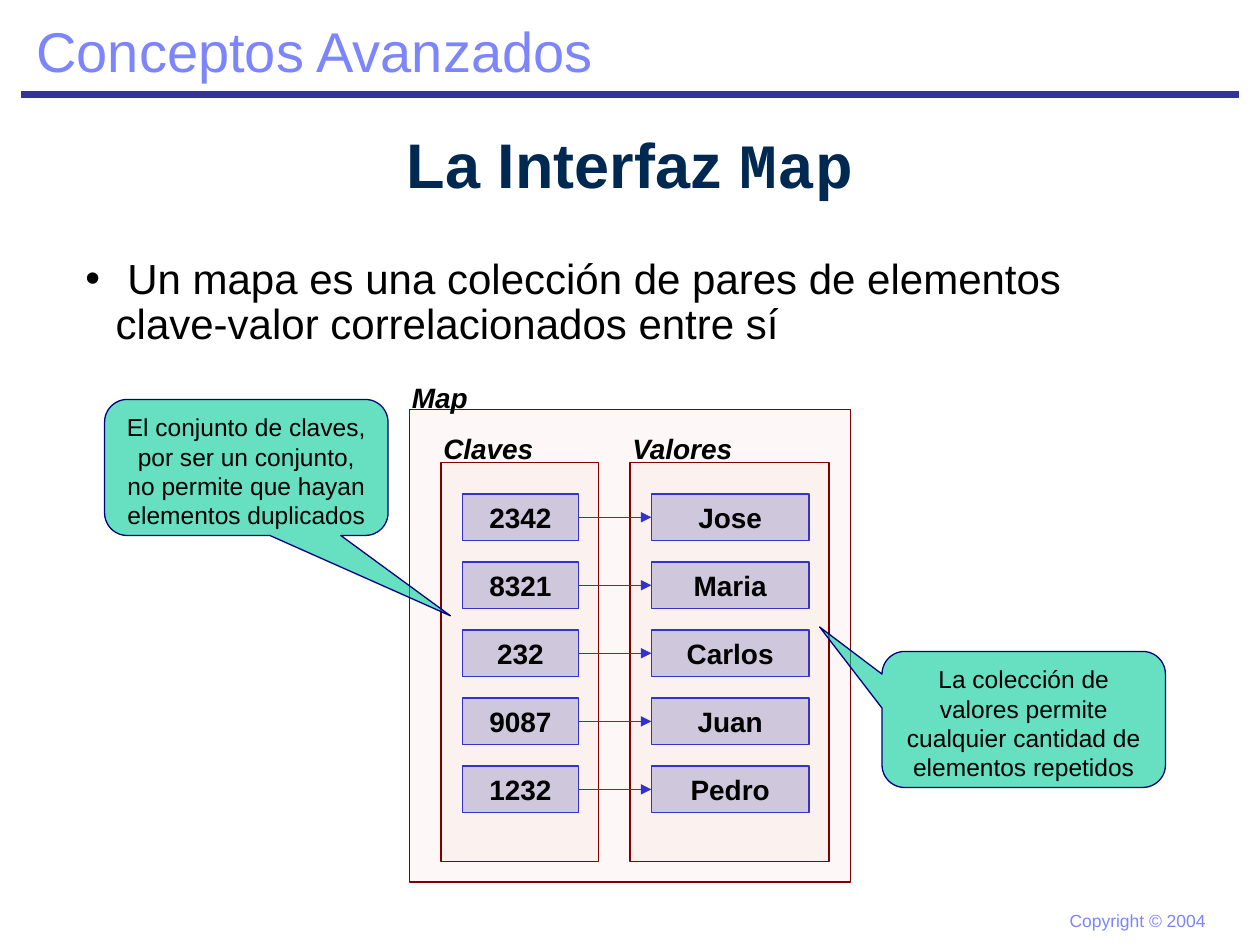
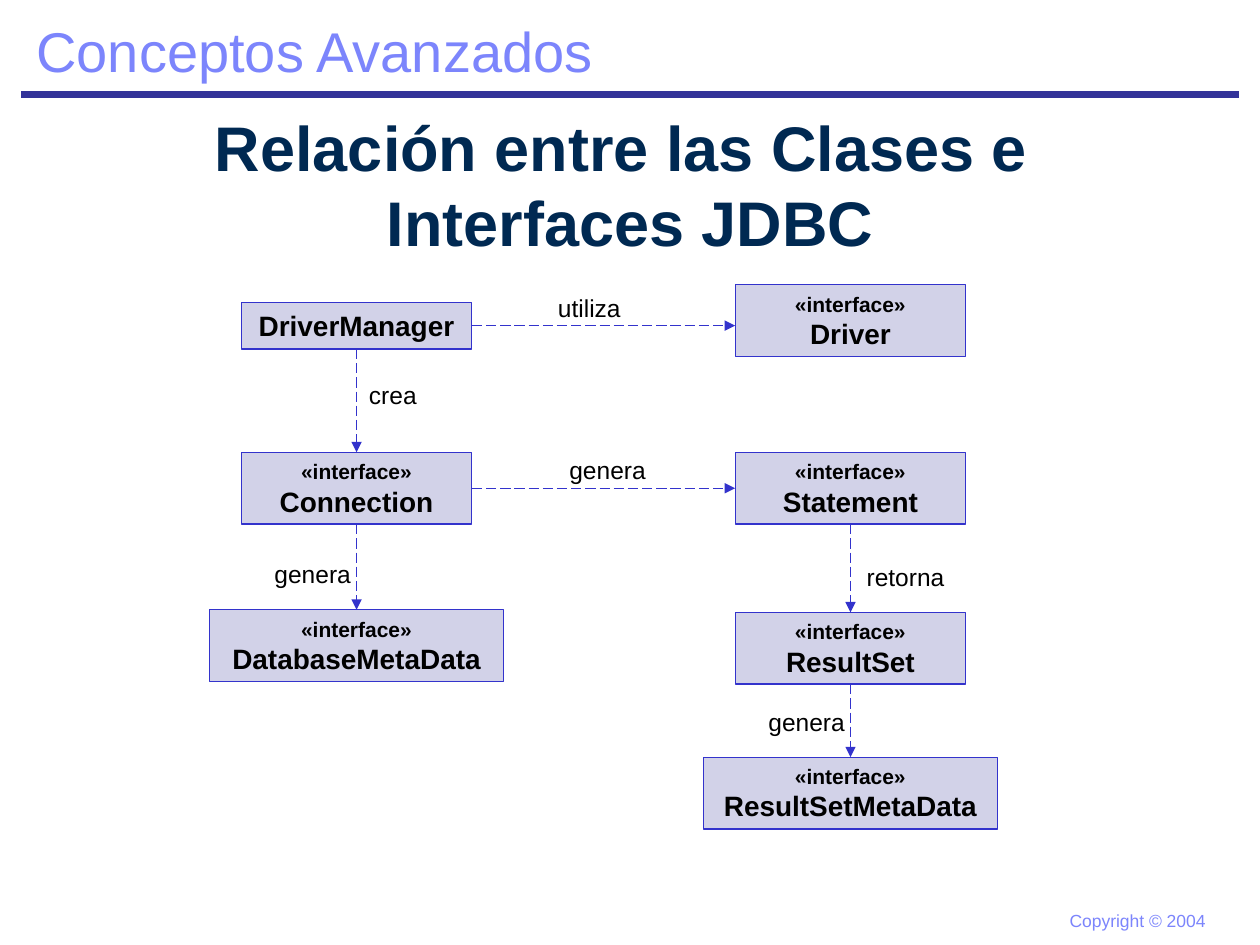
from lxml import etree
from pptx import Presentation
from pptx.dml.color import RGBColor
from pptx.enum.dml import MSO_LINE
from pptx.enum.shapes import MSO_CONNECTOR, MSO_SHAPE
from pptx.enum.text import MSO_ANCHOR, MSO_AUTO_SIZE, PP_ALIGN
from pptx.oxml.ns import qn
from pptx.util import Inches, Pt

STRAIGHT = MSO_CONNECTOR.STRAIGHT
RECT = MSO_SHAPE.RECTANGLE
CALLOUT = MSO_SHAPE.ROUNDED_RECTANGULAR_CALLOUT
LONG_DASH = MSO_LINE.LONG_DASH
TOP, MIDDLE = MSO_ANCHOR.TOP, MSO_ANCHOR.MIDDLE
GROW = MSO_AUTO_SIZE.SHAPE_TO_FIT_TEXT
LEFT, CENTER = PP_ALIGN.LEFT, PP_ALIGN.CENTER
SITE_TOP, SITE_LEFT, SITE_BOTTOM, SITE_RIGHT = range(4)

COLORS = {
    "band": "333399", "header": "7C85FC", "title": "002952", "text": "000000",
    "frame": "CC3300", "frame_line": "800000", "box": "333399", "box_line": "3333CC",
    "callout": "00CC99", "callout_line": "000080",
}
RGB = {name: RGBColor.from_string(value) for name, value in COLORS.items()}
ALPHA = {"frame": 3, "box": 22, "callout": 60}


def add_box(s, at, paragraphs=(), shape=None, look=None, color="text",
            bold=False, italic=False, align=LEFT, anchor=TOP, wrap=True):
    at = [Inches(v) for v in at]
    if shape is None:
        sp = s.shapes.add_textbox(*at)
    else:
        sp = s.shapes.add_shape(shape, *at)
        sp.shadow.inherit = False
        sp.fill.solid()
        sp.fill.fore_color.rgb = RGB[look]
        clr = sp._element.spPr.find(qn("a:solidFill")).find(qn("a:srgbClr"))
        etree.SubElement(clr, qn("a:alpha"), val=str(ALPHA[look] * 1000))
        sp.line.color.rgb = RGB[look + "_line"]
        sp.line.width = Pt(0.75)
    tf = sp.text_frame
    tf.word_wrap = wrap
    if not wrap:
        tf.auto_size = GROW
    tf.vertical_anchor = anchor
    for i, runs in enumerate(paragraphs):
        p = tf.add_paragraph() if i else tf.paragraphs[0]
        p.alignment = align
        for text, size, *font in runs:
            r = p.add_run()
            r.text = text
            r.font.name = font[0] if font else "Arial"
            r.font.size = Pt(size)
            r.font.bold = bold
            r.font.italic = italic
            r.font.color.rgb = RGB[color]
    return sp


def add_arrow(s, start, start_site, end, end_site, dashed=False, join_end=True):
    c = s.shapes.add_connector(STRAIGHT, 0, 0, end.left, start.top + start.height // 2)
    c.begin_connect(start, start_site)
    if join_end:
        c.end_connect(end, end_site)
    c.line.color.rgb = RGB["box_line"]
    c.line.width = Pt(0.75)
    if dashed:
        c.line.dash_style = LONG_DASH
    etree.SubElement(c.line._get_or_add_ln(), qn("a:tailEnd"), type="triangle")
    etree.SubElement(c._element.spPr, qn("a:effectLst"))


prs = Presentation()
prs.slide_width = Inches(10)
prs.slide_height = Inches(7.5)

titles = [
    ((0, 0.92, 10, 0.75), [[("La Interfaz ", 36), ("Map", 36, "Courier New")]]),
    ((0, 1, 10, 0.92), [[("Relación entre las Clases e ", 36)], [("Interfaces JDBC", 36)]]),
]
slides = []
for at, title in titles:
    s = prs.slides.add_slide(prs.slide_layouts[6])
    band = s.shapes.add_connector(STRAIGHT, Inches(0.17), Inches(0.75), Inches(9.83), Inches(0.75))
    band.line.color.rgb = RGB["band"]
    band.line.width = Pt(4.5)
    etree.SubElement(band._element.spPr, qn("a:effectLst"))
    add_box(s, (8.39, 7.17, 1.28, 0.27), [[("Copyright © 2004", 10)]], color="header", wrap=False)
    add_box(s, (0.19, 0.08, 4.65, 0.64), [[("Conceptos Avanzados", 32)]], color="header", wrap=False)
    add_box(s, at, title, color="title", bold=True, align=CENTER, anchor=MIDDLE)
    slides.append(s)
map_slide, jdbc_slide = slides

s = map_slide
sp = add_box(s, (0.58, 2, 8.5, 1), [[
    (" Un mapa es una colección de pares de elementos clave-valor correlacionados entre sí", 24)]])
p = sp.text_frame.paragraphs[0]
p.line_spacing = 0.9
pPr = p._p.get_or_add_pPr()
pPr.set("marL", str(Inches(0.24)))
pPr.set("indent", str(Inches(-0.24)))
etree.SubElement(pPr, qn("a:buFont"), typeface="Arial")
etree.SubElement(pPr, qn("a:buChar"), char="•")

frames = [
    ("Map", (3.25, 3.25, 3.5, 3.75), (3.17, 2.97, 0.65, 0.37)),
    ("Valores", (5, 3.67, 1.58, 3.17), (4.92, 3.38, 1.02, 0.37)),
    ("Claves", (3.5, 3.67, 1.25, 3.17), (3.42, 3.38, 0.93, 0.37)),
]
for label, frame_at, label_at in frames:
    add_box(s, frame_at, shape=RECT, look="frame")
for label, frame_at, label_at in frames:
    add_box(s, label_at, [[(label, 16)]], bold=True, italic=True, wrap=False)

pairs = [("2342", "Jose"), ("8321", "Maria"), ("232", "Carlos"), ("9087", "Juan"), ("1232", "Pedro")]
for i, pair in enumerate(pairs):
    key, value = [
        add_box(s, (x, 3.92 + 0.54 * i, w, 0.37), [[(text, 16)]], RECT, "box",
                bold=True, align=CENTER, anchor=MIDDLE)
        for text, x, w in zip(pair, (3.67, 5.17), (0.92, 1.25))]
    add_arrow(s, key, SITE_RIGHT, value, SITE_LEFT)

callouts = [
    ((0.83, 3.17), (0.72, 1.09),
     "El conjunto de claves, por ser un conjunto, no permite que hayan elementos duplicados"),
    ((7, 5.17), (-0.72, -0.68),
     "La colección de valores permite cualquier cantidad de elementos repetidos"),
]
for corner, tip, text in callouts:
    sp = add_box(s, (*corner, 2.25, 1.08), [[(text, 14)]], CALLOUT, "callout", align=CENTER)
    sp.adjustments[0], sp.adjustments[1] = tip

s = jdbc_slide
classes = [
    ("DriverManager", 2.83, 2.4, 1.83, False),
    ("Driver", 6.75, 2.26, 1.83, True),
    ("Connection", 2.83, 3.59, 1.83, True),
    ("Statement", 6.75, 3.59, 1.83, True),
    ("DatabaseMetaData", 2.83, 4.84, 2.33, True),
    ("ResultSet", 6.75, 4.86, 1.83, True),
    ("ResultSetMetaData", 6.75, 6.01, 2.33, True),
]
boxes = {}
for name, center, top, w, is_interface in classes:
    lines = [[("«interface»", 12)]] if is_interface else []
    boxes[name] = add_box(s, (center - w / 2, top, w, 0.57 if is_interface else 0.37),
                          lines + [[(name, 16)]], RECT, "box",
                          bold=True, align=CENTER, anchor=MIDDLE)

across = (SITE_RIGHT, SITE_LEFT)
down = (SITE_BOTTOM, SITE_TOP)
relations = [
    ("DriverManager", "Driver", across, "utiliza", (4.33, 2.28, 0.72)),
    ("DriverManager", "Connection", down, "crea", (2.83, 2.97, 0.6)),
    ("Connection", "Statement", across, "genera", (4.42, 3.56, 0.82)),
    ("Connection", "DatabaseMetaData", down, "genera", (2.08, 4.39, 0.82)),
    ("Statement", "ResultSet", down, "retorna", (6.78, 4.41, 0.84)),
    ("ResultSet", "ResultSetMetaData", down, "genera", (6, 5.56, 0.82)),
]
for start, end, (start_site, end_site), label, label_at in relations:
    add_arrow(s, boxes[start], start_site, boxes[end], end_site,
              dashed=True, join_end=end != "Driver")
    add_box(s, (*label_at, 0.34), [[(label, 14)]], wrap=False)

prs.save("out.pptx")
